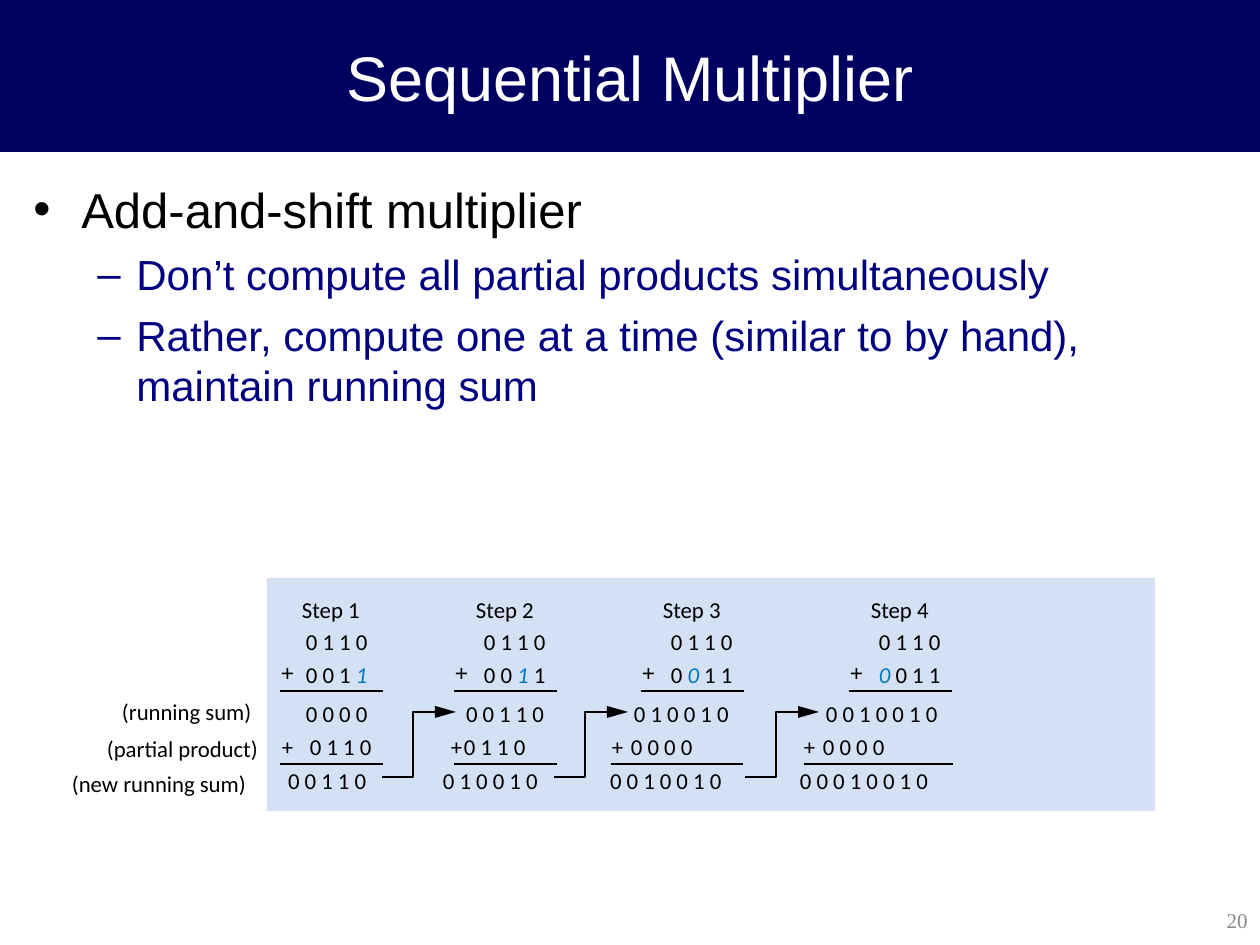
from lxml.etree import SubElement
from pptx import Presentation
from pptx.dml.color import RGBColor
from pptx.enum.shapes import MSO_CONNECTOR as CONN, MSO_SHAPE as SHAPE
from pptx.enum.text import MSO_ANCHOR as ANCHOR, PP_ALIGN as ALIGN
from pptx.oxml.ns import qn
from pptx.util import Pt

PX = 914400 / 126
COLORS = {"band": "000060", "white": "FFFFFF", "black": "000000", "sub": "000080",
          "gray": "898989", "panel": "D4E0F3", "active": "0078C1"}

# Vertical offsets inside the panel
LABEL_Y, TOP_Y, MULT_Y, SUM_Y, PART_Y, NEW_Y = 18, 50, 83, 122, 155, 189
RULE_1_Y, RULE_2_Y = 113, 186
CARRY_FROM_Y, CARRY_TO_Y = 199, 134

# Horizontal offsets inside the panel; the active multiplier bit is the middle run
STEPS = [
    dict(x=13, digits=26, mult=("0 0 1 ", "1", ""),
         sum=(39, "0 0 0 0"), plus=15, part=(43, "0 1 1 0"),
         new=(21, "0 0 1 1 0"), rule=(13, 116)),
    dict(x=187, digits=30, mult=("0 0 ", "1", " 1"),
         sum=(199, "0 0 1 1 0"), plus=184, part=(197, "0 1 1 0"),
         new=(176, "0 1 0 0 1 0"), rule=(187, 290)),
    dict(x=374, digits=30, mult=("0 ", "0", " 1 1"),
         sum=(367, "0 1 0 0 1 0"), plus=345, part=(364, "0 0 0 0"),
         new=(343, "0 0 1 0 0 1 0"), rule=(344, 476)),
    dict(x=582, digits=30, mult=("", "0", " 0 1 1"),
         sum=(559, "0 0 1 0 0 1 0"), plus=537, part=(556, "0 0 0 0"),
         new=(533, "0 0 0 1 0 0 1 0"), rule=(537, 686)),
]
CARRY_XS = [115, 287, 478]


def emu(px):
    return round(px * PX)


def rgb(name):
    return RGBColor.from_string(COLORS[name])


def add_run(p, text, size, color, font, italic=False):
    r = p.add_run()
    r.text = text
    r.font.size, r.font.name, r.font.italic = Pt(size), font, italic
    r.font.color.rgb = rgb(color)


def add_box(slide, x, y, w, h, anchor=ANCHOR.TOP):
    tf = slide.shapes.add_textbox(*map(emu, (x, y, w, h))).text_frame
    tf.word_wrap = True
    tf.vertical_anchor = anchor
    return tf


def add_label(slide, x, y, *runs, font="Calibri"):
    """One unwrapped line of diagram text; runs are (text, is_active) pairs."""
    width = 10 * sum(len(text) for text, _ in runs) + 4
    tf = add_box(slide, x, y, width, 28)
    tf.word_wrap = False
    tf.margin_left = tf.margin_right = tf.margin_top = tf.margin_bottom = 0
    for text, active in runs:
        if text:
            add_run(tf.paragraphs[0], text, 13, "active" if active else "black", font, active)


def add_rect(slide, x, y, w, h, color):
    sp = slide.shapes.add_shape(SHAPE.RECTANGLE, *map(emu, (x, y, w, h)))
    sp.shadow.inherit = False
    sp.fill.solid()
    sp.fill.fore_color.rgb = rgb(color)
    sp.line.fill.background()


def add_rule(slide, x1, x2, y):
    line = slide.shapes.add_connector(CONN.STRAIGHT, *map(emu, (x1, y, x2, y)))
    line.line.color.rgb = rgb("black")
    line.line.width = Pt(0.88)
    SubElement(line._element.spPr, qn("a:effectLst"))


def add_path(slide, points, close):
    fb = slide.shapes.build_freeform(*points[0], scale=PX)
    fb.add_line_segments(points[1:], close=close)
    sp = fb.convert_to_shape()
    sp.shadow.inherit = False
    return sp


def add_carry(slide, x, y_from, y_to):
    """Elbow arrow that takes a new running sum up to the next step."""
    elbow = add_path(slide, [(x, y_from), (x + 31, y_from), (x + 31, y_to), (x + 56, y_to)], False)
    elbow.fill.background()
    elbow.line.color.rgb = rgb("black")
    elbow.line.width = Pt(1.62)
    head = add_path(slide, [(x + 74, y_to), (x + 53, y_to - 6), (x + 53, y_to + 6)], True)
    head.fill.solid()
    head.fill.fore_color.rgb = rgb("black")
    head.line.fill.background()


def add_title(slide, x, y, w, h, text):
    add_rect(slide, x, y, w, h, "band")
    p = add_box(slide, x, y, w, h, ANCHOR.MIDDLE).paragraphs[0]
    p.alignment = ALIGN.CENTER
    add_run(p, text, 36, "white", "Arial")


def add_bullets(slide, x, y, w, h, items):
    tf = add_box(slide, x, y, w, h)
    for i, (level, text) in enumerate(items):
        p = tf.paragraphs[0] if i == 0 else tf.add_paragraph()
        size, color, mark, left, hang = [(28, "black", "•", 48, 48),
                                         (24, "sub", "–", 103, 39)][level]
        p.level = level
        p.space_before = Pt(6 if i else 0)
        pPr = p._p.get_or_add_pPr()
        pPr.set("marL", str(emu(left)))
        pPr.set("indent", str(-emu(hang)))
        SubElement(SubElement(pPr, qn("a:buClr")), qn("a:srgbClr"), val=COLORS[color])
        SubElement(pPr, qn("a:buFont"), typeface="Arial")
        SubElement(pPr, qn("a:buChar"), char=mark)
        add_run(p, text, size, color, "Arial")


def add_step(slide, x, y, number, step):
    left = x + step["x"]
    before, active, after = step["mult"]
    digits = left + step["digits"]
    add_label(slide, left + 22, y + LABEL_Y, (f"Step {number}", False))
    add_label(slide, digits, y + TOP_Y, ("0 1 1 0", False))
    add_label(slide, left + 1, y + MULT_Y - 2, ("+", False), font="Arial")
    add_label(slide, digits, y + MULT_Y, (before, False), (active, True), (after, False))
    add_rule(slide, left, left + 103, y + RULE_1_Y)
    for key, row in (("sum", SUM_Y), ("part", PART_Y), ("new", NEW_Y)):
        dx, text = step[key]
        add_label(slide, x + dx, y + row, (text, False))
    add_label(slide, x + step["plus"], y + PART_Y, ("+", False))
    start, end = step["rule"]
    add_rule(slide, x + start, x + end, y + RULE_2_Y)


def add_worked_example(slide, x, y, w, h):
    add_rect(slide, x, y, w, h, "panel")
    for number, step in enumerate(STEPS, 1):
        add_step(slide, x, y, number, step)
    for dx in CARRY_XS:
        add_carry(slide, x + dx, y + CARRY_FROM_Y, y + CARRY_TO_Y)
    for dx, dy, text in ((-145, 120, "(running sum)"), (-160, 157, "(partial product)"),
                         (-195, 192, "(new running sum)")):
        add_label(slide, x + dx, y + dy, (text, False))


def add_page_number(slide, x, y, w, h, text):
    p = add_box(slide, x, y, w, h, ANCHOR.MIDDLE).paragraphs[0]
    p.alignment = ALIGN.RIGHT
    add_run(p, text, 12, "gray", "Times New Roman")


def main():
    prs = Presentation()
    prs.slide_width, prs.slide_height = emu(1260), emu(945)
    slide = prs.slides.add_slide(prs.slide_layouts[6])
    add_title(slide, 0, 0, 1260, 152, "Sequential Multiplier")
    add_bullets(slide, 21, 173, 1218, 720, [
        (0, "Add-and-shift multiplier"),
        (1, "Don’t compute all partial products simultaneously"),
        (1, "Rather, compute one at a time (similar to by hand), maintain running sum"),
    ])
    add_worked_example(slide, 267, 578, 888, 233)
    add_page_number(slide, 993, 895, 267, 50, "20")
    prs.save("out.pptx")


if __name__ == "__main__":
    main()
